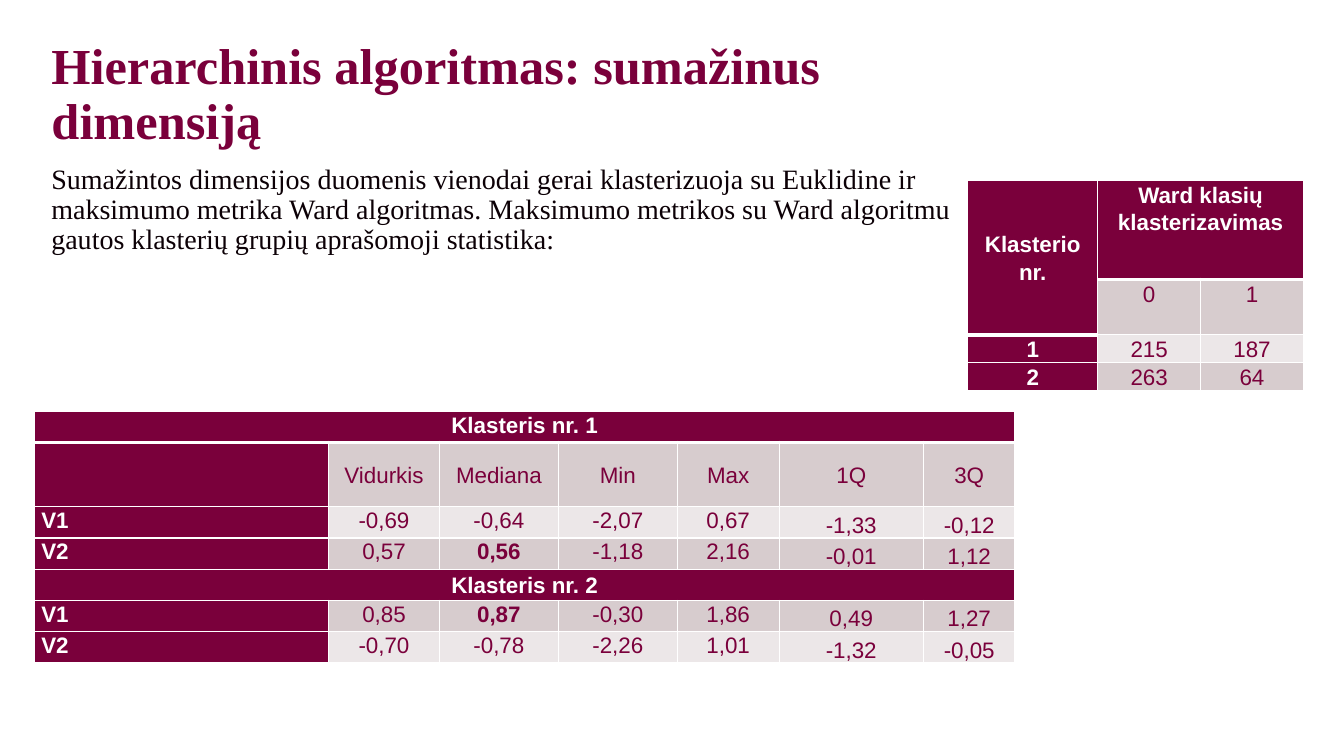
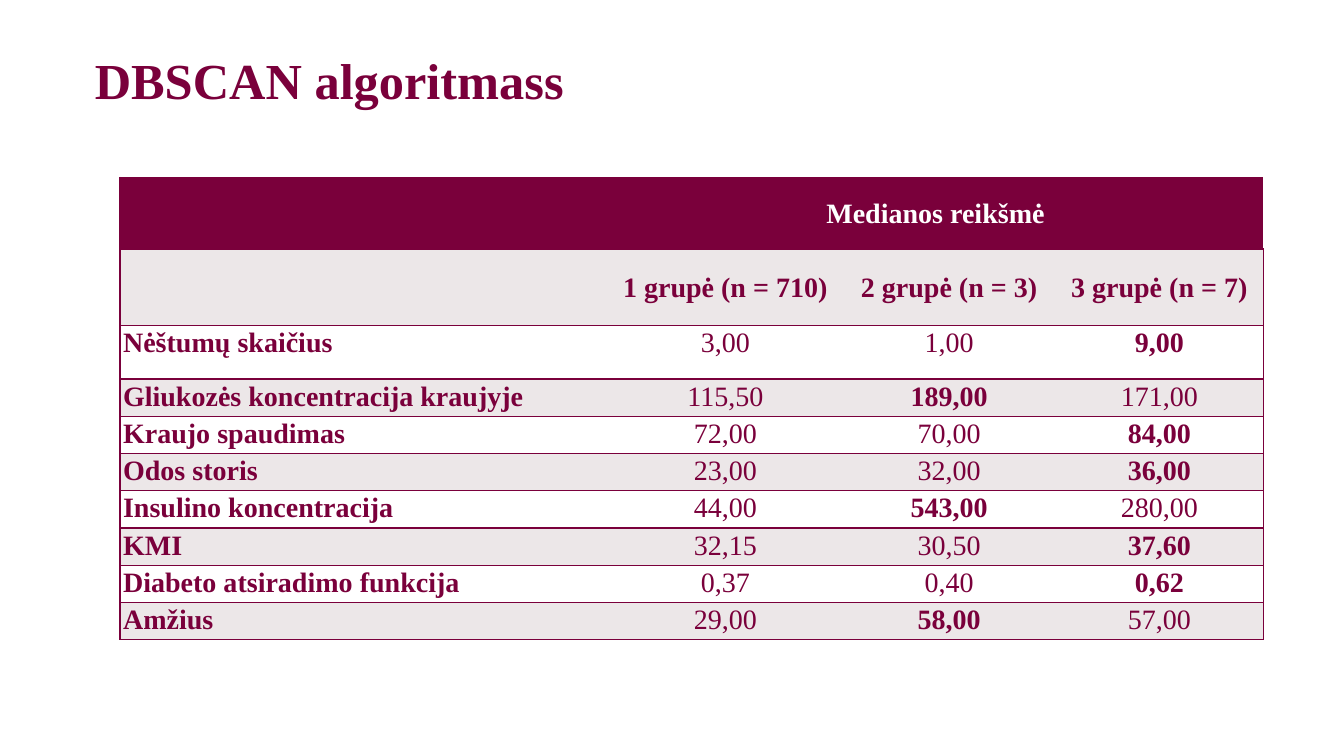
from itertools import product

from lxml import etree
from pptx import Presentation
from pptx.dml.color import RGBColor
from pptx.enum.text import MSO_ANCHOR, MSO_AUTO_SIZE, PP_ALIGN
from pptx.oxml.ns import qn
from pptx.util import Inches, Pt

TOP, MIDDLE, BOTTOM = MSO_ANCHOR.TOP, MSO_ANCHOR.MIDDLE, MSO_ANCHOR.BOTTOM
LEFT, CENTER = PP_ALIGN.LEFT, PP_ALIGN.CENTER
NO_AUTOFIT = MSO_AUTO_SIZE.NONE
TITLE_ONLY = 5

WINE = RGBColor(0x7A, 0x00, 0x3B)
INK = RGBColor(0x0C, 0x00, 0x06)
WHITE = RGBColor(0xFF, 0xFF, 0xFF)
BAND_DARK = RGBColor(0xD7, 0xCC, 0xCE)
BAND_LIGHT = RGBColor(0xEC, 0xE7, 0xE8)
SERIF, SANS = "Times New Roman", "Arial"

deck = Presentation()
deck.slide_width, deck.slide_height = Inches(13.33), Inches(7.5)
COL, ROW = deck.slide_width / 100, deck.slide_height / 100


def write(box, place, text, font_format):
    box.left, box.top, box.width, box.height = (
        int(share * unit) for share, unit in zip(place, (COL, ROW, COL, ROW)))
    frame = box.text_frame
    frame.word_wrap, frame.auto_size, frame.vertical_anchor = True, NO_AUTOFIT, TOP
    paragraph = frame.paragraphs[0]
    paragraph.alignment, paragraph.line_spacing = LEFT, 0.9
    run = paragraph.add_run()
    run.text = text
    for key, value in font_format.items():
        setattr(run.font, key, value)
    run.font.color.rgb = INK if box.is_placeholder is False else WINE


def draw_table(slide, plan):
    left, top = plan["place"]
    widths = [int(share * COL) for share in plan["columns"]]
    heights = [int(share * ROW) for share in plan["rows"]]
    table = slide.shapes.add_table(
        len(heights), len(widths), int(left * COL), int(top * ROW),
        sum(widths), sum(heights)).table
    table.first_row = table.horz_banding = False
    for column, width in zip(table.columns, widths):
        column.width = width
    for row, height in zip(table.rows, heights):
        row.height = height
    for first, last in plan["merged"]:
        table.cell(*first).merge(table.cell(*last))
    last_column = len(widths) - 1
    for r, c in product(range(len(heights)), range(len(widths))):
        cell, text = table.cell(r, c), plan["texts"][r][c]
        dark = (r, c) in plan["dark"]
        cell.margin_left = cell.margin_right = Inches(plan["inset"])
        cell.margin_top = cell.margin_bottom = 0
        cell.vertical_anchor = plan["anchors"].get((r, c), TOP)

        weights = {
            "a:lnL": 1 if plan["inner_lines"] or c == 0 else 0,
            "a:lnR": 1 if plan["inner_lines"] or c == last_column else 0,
            "a:lnT": 3 if (r - 1, c) in plan["heavy"] else 1,
            "a:lnB": 3 if (r, c) in plan["heavy"] else 1,
        }
        properties = cell._tc.get_or_add_tcPr()
        for side, weight in weights.items():
            line = etree.SubElement(properties, qn(side), w=str(Pt(weight)))
            if weight:
                paint = etree.SubElement(line, qn("a:solidFill"))
                etree.SubElement(paint, qn("a:srgbClr"), val=str(plan["line"]))
            else:
                etree.SubElement(line, qn("a:noFill"))
        cell.fill.solid()
        cell.fill.fore_color.rgb = WINE if dark else plan["bands"][r]

        paragraph = cell.text_frame.paragraphs[0]
        paragraph.alignment = LEFT if c == 0 and r in plan["left_labels"] else CENTER
        paragraph.line_spacing, paragraph.space_after = plan["spacing"], Pt(plan["after"])
        if not text:
            etree.SubElement(paragraph._p, qn("a:endParaRPr"), sz=str(plan["size"] * 100))
            continue
        run = paragraph.add_run()
        run.text = text
        run_format = {"name": plan["font"], "size": Pt(plan["size"]),
                      "bold": dark or (r, c) in plan["bold"]}
        for key, value in run_format.items():
            setattr(run.font, key, value)
        run.font.color.rgb = WHITE if dark else WINE


TITLE_FORMAT = {"name": SERIF, "size": Pt(36), "bold": True}
BODY_FORMAT = {"name": SERIF, "size": Pt(20), "bold": False}

hierarchical = deck.slides.add_slide(deck.slide_layouts[TITLE_ONLY])
write(hierarchical.shapes.title, (3.08, 4.8, 74.25, 16.4),
      "Hierarchinis algoritmas: sumažinus dimensiją", TITLE_FORMAT)
write(hierarchical.shapes.add_textbox(0, 0, 0, 0), (3.08, 21.2, 71.25, 14),
      "Sumažintos dimensijos duomenis vienodai gerai klasterizuoja su Euklidine ir "
      "maksimumo metrika Ward algoritmas. Maksimumo metrikos su Ward algoritmu "
      "gautos klasterių grupių aprašomoji statistika:", BODY_FORMAT)

statistics_rows, statistics_columns = range(7), range(7)
cluster_rows = (0, 4)
value_rows = (2, 3, 5, 6)
statistics_anchors = {(r, c): MIDDLE for r, c in product((1, 4), statistics_columns)}
statistics_anchors.update({(r, c): BOTTOM for r, c in product(value_rows, (5, 6))})
draw_table(hierarchical, {
    "place": (2.55, 54.4),
    "columns": [21.9, 8.25, 8.85, 8.85, 7.58, 10.73, 6.83],
    "rows": [4.13, 8.53] + [4.13] * 5,
    "texts": [
        ["Klasteris nr. 1"] + [""] * 6,
        ["", "Vidurkis", "Mediana", "Min", "Max", "1Q", "3Q"],
        ["V1", "-0,69", "-0,64", "-2,07", "0,67", "-1,33", "-0,12"],
        ["V2", "0,57", "0,56", "-1,18", "2,16", "-0,01", "1,12"],
        ["Klasteris nr. 2"] + [""] * 6,
        ["V1", "0,85", "0,87", "-0,30", "1,86", "0,49", "1,27"],
        ["V2", "-0,70", "-0,78", "-2,26", "1,01", "-1,32", "-0,05"],
    ],
    "merged": [((r, 0), (r, 6)) for r in cluster_rows],
    "dark": {(r, c) for r, c in product(statistics_rows, statistics_columns)
             if c == 0 or r in cluster_rows},
    "bands": [BAND_LIGHT if r % 2 == 0 else BAND_DARK for r in statistics_rows],
    "bold": {(3, 2), (5, 2)},
    "anchors": statistics_anchors,
    "left_labels": value_rows,
    "heavy": {(0, c) for c in statistics_columns},
    "line": WHITE, "inner_lines": True,
    "font": SANS, "size": 16, "spacing": 1.07, "after": 8, "inset": 0.07,
})

draw_table(hierarchical, {
    "place": (72, 23.87),
    "columns": [9.68, 7.65, 7.65],
    "rows": [13.1, 7.2, 3.7, 3.7],
    "texts": [
        ["Klasterio nr.", "Ward klasių klasterizavimas", ""],
        ["", "0", "1"],
        ["1", "215", "187"],
        ["2", "263", "64"],
    ],
    "merged": [((0, 0), (1, 0)), ((0, 1), (0, 2))],
    "dark": {(r, c) for r, c in product(range(4), range(3)) if r == 0 or c == 0},
    "bands": [WINE, BAND_DARK, BAND_LIGHT, BAND_DARK],
    "bold": set(),
    "anchors": {(0, 0): MIDDLE},
    "left_labels": (),
    "heavy": {(1, 0), (0, 1), (0, 2)},
    "line": WHITE, "inner_lines": True,
    "font": SANS, "size": 16, "spacing": 1.11, "after": 0.7, "inset": 0.07,
})

density = deck.slides.add_slide(deck.slide_layouts[TITLE_ONLY])
write(density.shapes.title, (6.3, 6.67, 74.25, 12.93), "DBSCAN algoritmass", TITLE_FORMAT)

medians = [
    ["Nėštumų skaičius", "3,00", "1,00", "9,00"],
    ["Gliukozės koncentracija kraujyje", "115,50", "189,00", "171,00"],
    ["Kraujo spaudimas", "72,00", "70,00", "84,00"],
    ["Odos storis", "23,00", "32,00", "36,00"],
    ["Insulino koncentracija", "44,00", "543,00", "280,00"],
    ["KMI", "32,15", "30,50", "37,60"],
    ["Diabeto atsiradimo funkcija", "0,37", "0,40", "0,62"],
    ["Amžius", "29,00", "58,00", "57,00"],
]
median_bold = set(product((0, 1), range(4)))
for r, (label, *values) in enumerate(medians, start=2):
    numbers = [float(value.replace(",", ".")) for value in values]
    median_bold |= {(r, 0), (r, numbers.index(max(numbers)) + 1)}
draw_table(density, {
    "place": (8.93, 23.47),
    "columns": [36.3, 17.48, 15.83, 15.45],
    "rows": [9.47, 10.13, 7.07] + [4.93] * 7,
    "texts": [
        ["", "Medianos reikšmė", "", ""],
        ["", "1 grupė (n = 710)", "2 grupė (n = 3)", "3 grupė (n = 7)"],
    ] + medians,
    "merged": [((0, 1), (0, 3))],
    "dark": {(0, c) for c in range(4)},
    "bands": [WHITE, BAND_LIGHT] * 5,
    "bold": median_bold,
    "anchors": {(r, c): MIDDLE for r, c in product((0, 1), range(4))},
    "left_labels": range(2, 10),
    "heavy": set(),
    "line": WINE, "inner_lines": False,
    "font": SERIF, "size": 20, "spacing": 1.07, "after": 8, "inset": 0.03,
})

deck.save("out.pptx")
